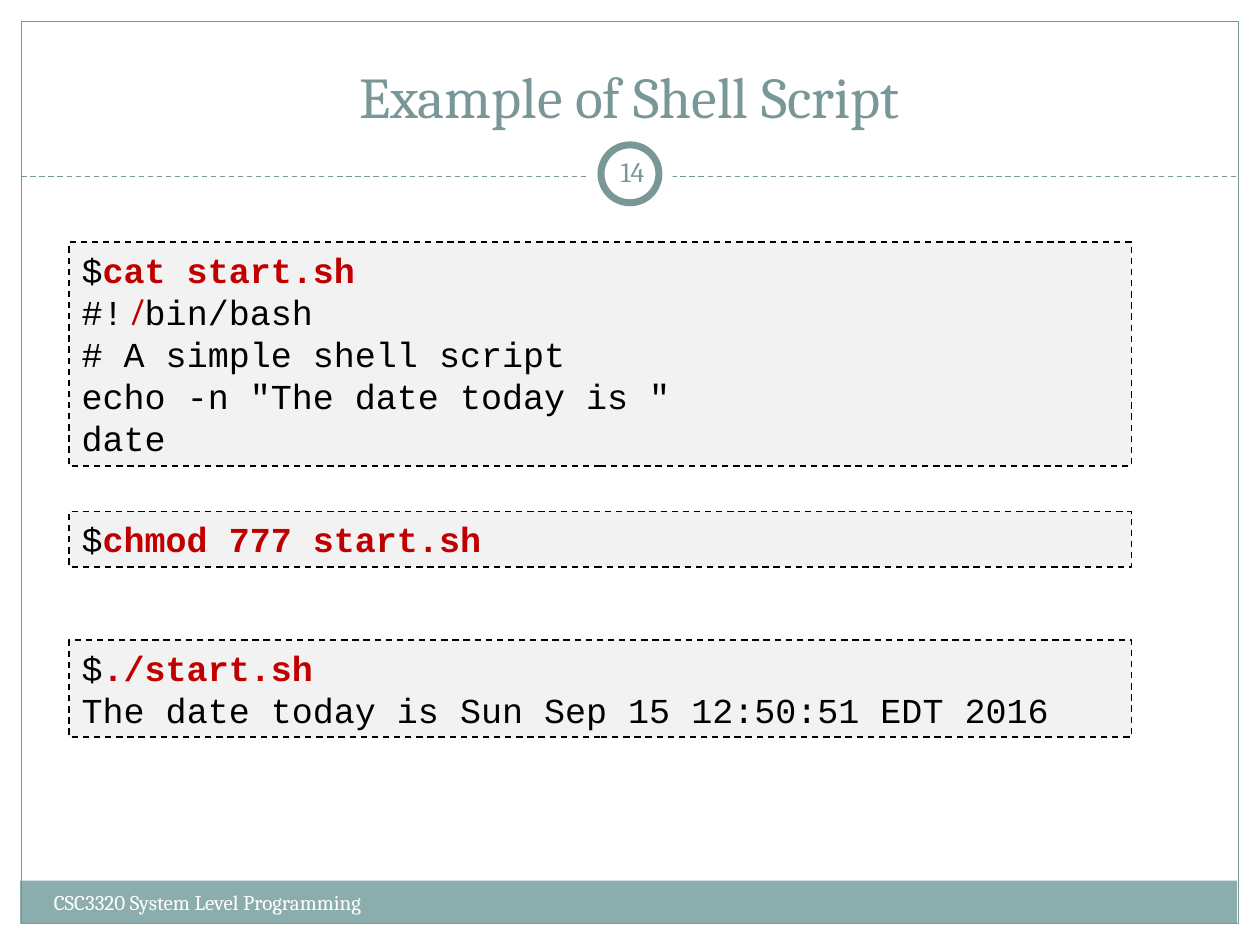
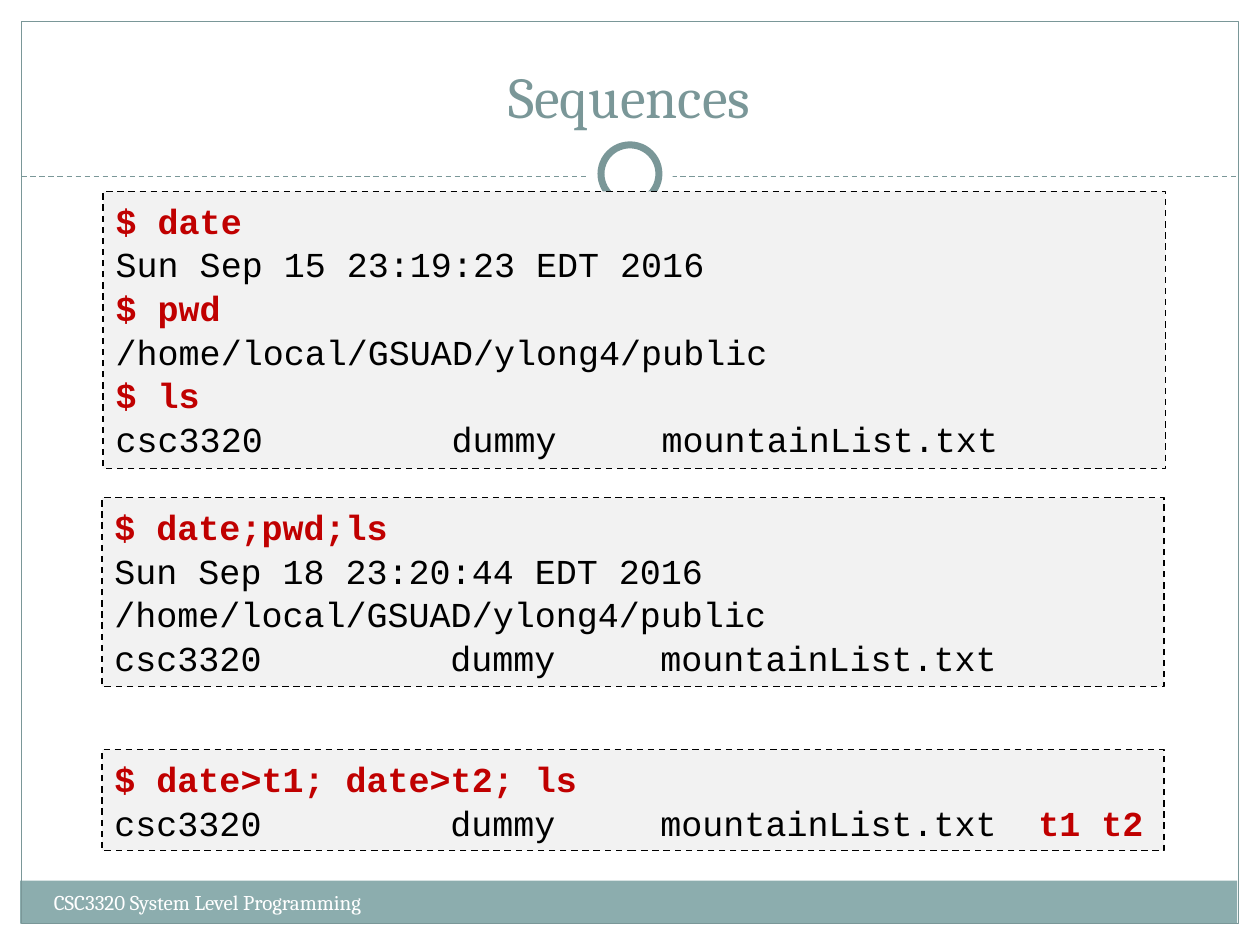
from pptx import Presentation
from pptx.dml.color import RGBColor
from pptx.enum import dml, shapes, text
from pptx.oxml.ns import qn
from pptx.util import Inches, Pt
from lxml import etree

TEAL, BAND, RED = "7A9798", "8CADAE", "C00000"
BLACK, WHITE, GREY = "000000", "FFFFFF", "F2F2F2"
SERIF, MONO = "Cambria", "Courier New"
DASH = dml.MSO_LINE.DASH
LEFT, MID = text.PP_ALIGN.LEFT, text.PP_ALIGN.CENTER
TOP, CORE, BASE = text.MSO_ANCHOR.TOP, text.MSO_ANCHOR.MIDDLE, text.MSO_ANCHOR.BOTTOM
RECT, OVAL = shapes.MSO_SHAPE.RECTANGLE, shapes.MSO_SHAPE.OVAL
CHAR = 1 / 6
STOPS = [n * CHAR for n in (16, 26, 44)]
FILES = "csc3320\tdummy\tmountainList.txt"
HOME = "/home/local/GSUAD/ylong4/public"


def rgb(code):
    return RGBColor.from_string(code)


def stroke(line, color, width, dash=None):
    line.color.rgb = rgb(color)
    line.width = Pt(width)
    if dash:
        line.dash_style = dash


def shape(slide, kind, box, fill=None, line=None):
    item = slide.shapes.add_shape(kind, *map(Inches, box))
    item.shadow.inherit = False
    if fill:
        item.fill.solid()
        item.fill.fore_color.rgb = rgb(fill)
    else:
        item.fill.background()
    if line:
        stroke(item.line, *line)
    else:
        item.line.fill.background()
    return item


def style(run, font, size, color, bold=False):
    run.font.name, run.font.size, run.font.bold = font, Pt(size), bold
    run.font.color.rgb = rgb(color)


def label(item, words, size, color, align=LEFT, anchor=TOP, bold=False):
    frame = item.text_frame
    frame.text = words
    frame.word_wrap = True
    frame.vertical_anchor = anchor
    para = frame.paragraphs[0]
    para.alignment = align
    style(para.runs[0], SERIF, size, color, bold)
    return frame


def note(slide, box, words, *look, **more):
    return label(slide.shapes.add_textbox(*map(Inches, box)), words, *look, **more)


def ring(slide, x, y, number):
    shape(slide, OVAL, (x - 0.33, y - 0.33, 0.67, 0.67), WHITE)
    shape(slide, OVAL, (x - 0.23, y - 0.23, 0.46, 0.46), WHITE, (TEAL, 4))
    if number:
        frame = note(slide, (x - 0.23, y - 0.26, 0.5, 0.48), number, 16, TEAL, MID, CORE)
        frame.margin_left = frame.margin_right = Inches(0.05)


def base(deck, title, number=None):
    slide = deck.slides.add_slide(deck.slide_layouts[5])
    head = slide.shapes.title
    head.left, head.top, head.width, head.height = map(Inches, (0.33, 0.25, 9.33, 0.83))
    label(head, title, 33, TEAL, MID, BASE)
    shape(slide, RECT, (0.16, 6.99, 9.66, 0.34), BAND)
    shape(slide, RECT, (0.17, 0.17, 9.66, 7.16), line=(TEAL, 0.75))
    rule = slide.shapes.add_connector(
        shapes.MSO_CONNECTOR.STRAIGHT, *map(Inches, (0.17, 1.4, 9.83, 1.4)))
    stroke(rule.line, TEAL, 0.75, DASH)
    etree.SubElement(rule._element.spPr, qn("a:effectLst"))
    ring(slide, 5, 1.38, number)
    note(slide, (0.33, 7.01, 3.92, 0.4), "CSC3320 System Level Programming", 12, WHITE)
    return slide


def tabs(para):
    group = etree.SubElement(para._p.get_or_add_pPr(), qn("a:tabLst"))
    for stop in STOPS:
        etree.SubElement(group, qn("a:tab"), pos=str(Inches(stop)), algn="l")


def code(slide, x, y, height, lines, space=None):
    box = shape(slide, RECT, (x, y, 8.43, height), GREY, (BLACK, 0.9, DASH))
    frame = box.text_frame
    frame.word_wrap = True
    frame.vertical_anchor = TOP
    for i, line in enumerate(lines):
        para = frame.add_paragraph() if i else frame.paragraphs[0]
        para.alignment = LEFT
        if space:
            para.line_spacing = space
        if "\t" in line:
            tabs(para)
        for j, part in enumerate(line.split("|")):
            if part:
                run = para.add_run()
                run.text = part
                hot = j % 2 == 1
                style(run, MONO, 20, RED if hot else BLACK, hot)


def script(deck):
    slide = base(deck, "Example of Shell Script", "14")
    x = 0.55
    code(slide, x, 1.92, 1.78, [
        "$|cat start.sh", "#! bin/bash", "# A simple shell script",
        'echo -n "The date today is "', "date"])
    code(slide, x, 4.06, 0.44, ["$|chmod 777 start.sh"])
    code(slide, x, 5.08, 0.77, [
        "$|./start.sh", "The date today is Sun Sep 15 12:50:51 EDT 2016"])
    note(slide, (x + 0.38, 2.25, 0.32, 0.4), "/", 18, RED, bold=True)


def chain(deck):
    slide = base(deck, "Sequences")
    blocks = [
        (0.82, 1.52, 2.2, ["|$ date", "Sun Sep 15 23:19:23 EDT 2016",
                           "|$ pwd", HOME, "|$ ls", FILES]),
        (0.81, 3.95, 1.5, ["|$ date;pwd;ls", "Sun Sep 18 23:20:44 EDT 2016",
                           HOME, FILES]),
        (0.81, 5.95, 0.8, ["|$ date>t1; date>t2; ls", FILES + "\t|t1 t2"]),
    ]
    for block in blocks:
        code(slide, *block, space=1.04)


def main():
    deck = Presentation()
    deck.slide_width, deck.slide_height = Inches(10), Inches(7.5)
    script(deck)
    chain(deck)
    deck.save("out.pptx")


if __name__ == "__main__":
    main()
